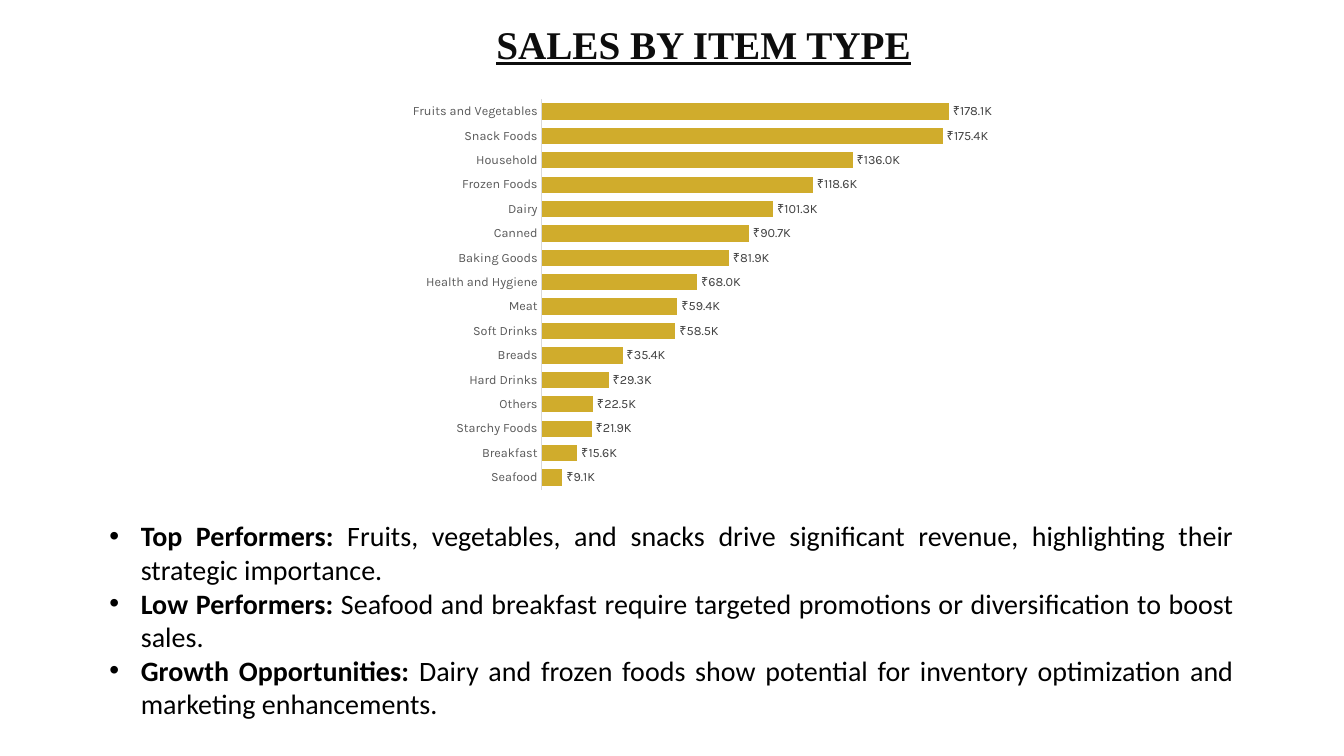
from lxml import etree
from pptx import Presentation
from pptx.chart.data import CategoryChartData
from pptx.dml.color import RGBColor
from pptx.enum import chart as ch, text
from pptx.oxml import parse_xml
from pptx.oxml.ns import nsdecls, qn
from pptx.util import Cm, Pt

RUPEE_K = '"₹"0.0,"K"'
SALES = {
    "Fruits and Vegetables": 178100, "Snack Foods": 175400,
    "Household": 136000, "Frozen Foods": 118600,
    "Dairy": 101300, "Canned": 90700,
    "Baking Goods": 81900, "Health and Hygiene": 68000,
    "Meat": 59400, "Soft Drinks": 58500,
    "Breads": 35400, "Hard Drinks": 29300,
    "Others": 22500, "Starchy Foods": 21900,
    "Breakfast": 15600, "Seafood": 9100,
}
FINDINGS = [
    ("Top Performers:", " Fruits, vegetables, and snacks drive significant "
     "revenue, highlighting their strategic importance."),
    ("Low Performers:", " Seafood and breakfast require targeted promotions "
     "or diversification to boost sales."),
    ("Growth Opportunities:", " Dairy and frozen foods show potential for "
     "inventory optimization and marketing enhancements."),
]


def rgb(value):
    return RGBColor.from_string(value)


def set_font(font, color, **formats):
    for name, value in formats.items():
        setattr(font, name, value)
    font.color.rgb = rgb(color)


def add_text_frame(slide, box):
    tf = slide.shapes.add_textbox(*box).text_frame
    tf.word_wrap = True
    tf.auto_size = text.MSO_AUTO_SIZE.SHAPE_TO_FIT_TEXT
    return tf


def add_title(slide, box):
    p = add_text_frame(slide, box).paragraphs[0]
    p.alignment = text.PP_ALIGN.CENTER
    r = p.add_run()
    r.text = "SALES BY ITEM TYPE"
    set_font(r.font, "0D0D0D", name="Times New Roman", size=Pt(28),
             bold=True, underline=True)


def set_plot_layout(chart, **fractions):
    plot_area = chart._chartSpace.chart.plotArea
    for old in plot_area.findall(qn("c:layout")):
        plot_area.remove(old)
    layout = parse_xml(f"<c:layout {nsdecls('c')}><c:manualLayout/></c:layout>")
    settings = {"layoutTarget": "inner", "xMode": "edge", "yMode": "edge",
                **fractions}
    for tag, value in settings.items():
        etree.SubElement(layout[0], qn(f"c:{tag}")).set("val", str(value))
    plot_area.insert(0, layout)


def add_sales_chart(slide, box):
    # Bars run upwards, so the smallest item comes first
    data = CategoryChartData(number_format="General")
    data.categories = list(SALES)[::-1]
    data.add_series("Series 1", list(SALES.values())[::-1])
    chart = slide.shapes.add_chart(
        ch.XL_CHART_TYPE.BAR_CLUSTERED, *box, data).chart
    chart.has_legend = chart.has_title = False
    set_font(chart.font, "000000", name="Calibri", size=Pt(10))
    set_plot_layout(chart, x=0.255, y=0.031, w=0.692, h=0.945)

    # Axes
    items, values = chart.category_axis, chart.value_axis
    items.major_tick_mark = items.minor_tick_mark = ch.XL_TICK_MARK.NONE
    items.format.line.color.rgb = rgb("D9D9D9")
    items.format.line.width = Pt(0.75)
    set_font(items.tick_labels.font, "595959", name="Karla", size=Pt(9))
    values.visible = values.has_major_gridlines = False
    values.minimum_scale, values.maximum_scale = 0, 200000
    values.tick_labels.number_format = RUPEE_K
    values.tick_labels.number_format_is_linked = False

    # Bars and their labels
    plot = chart.plots[0]
    plot.gap_width = 50
    plot.vary_by_categories = False
    series = plot.series[0]
    series.invert_if_negative = False
    series.format.fill.solid()
    series.format.fill.fore_color.rgb = rgb("D0AC2C")
    labels = series.data_labels
    label_formats = {
        "show_value": True, "number_format": RUPEE_K,
        "number_format_is_linked": False,
        "position": ch.XL_LABEL_POSITION.OUTSIDE_END,
    }
    for name, value in label_formats.items():
        setattr(labels, name, value)
    set_font(labels.font, "404040", name="Karla", size=Pt(9))


def add_findings(slide, box):
    tf = add_text_frame(slide, box)
    indent = Cm(0.79)
    for i, finding in enumerate(FINDINGS):
        p = tf.add_paragraph() if i else tf.paragraphs[0]
        p.alignment = text.PP_ALIGN.JUSTIFY
        # Hanging bullet
        pPr = p._p.get_or_add_pPr()
        pPr.set("marL", str(indent))
        pPr.set("indent", str(-indent))
        etree.SubElement(pPr, qn("a:buFont")).set("typeface", "Arial")
        etree.SubElement(pPr, qn("a:buChar")).set("char", "•")
        # Bold lead-in, then plain text
        for wording, bold in zip(finding, (True, False)):
            r = p.add_run()
            r.text = wording
            set_font(r.font, "000000", name="Calibri", size=Pt(20), bold=bold)


def main():
    prs = Presentation()
    prs.slide_width, prs.slide_height = Cm(33.87), Cm(19.05)
    slide = prs.slides.add_slide(prs.slide_layouts[6])
    left, width = Cm(9.4), Cm(16.66)
    add_title(slide, (left, Cm(0.38), width, Cm(1.45)))
    add_sales_chart(slide, (left, Cm(2.18), width, Cm(10.41)))
    add_findings(slide, (Cm(2.51), Cm(12.95), Cm(28.83), Cm(5.38)))
    prs.save("out.pptx")


if __name__ == "__main__":
    main()
